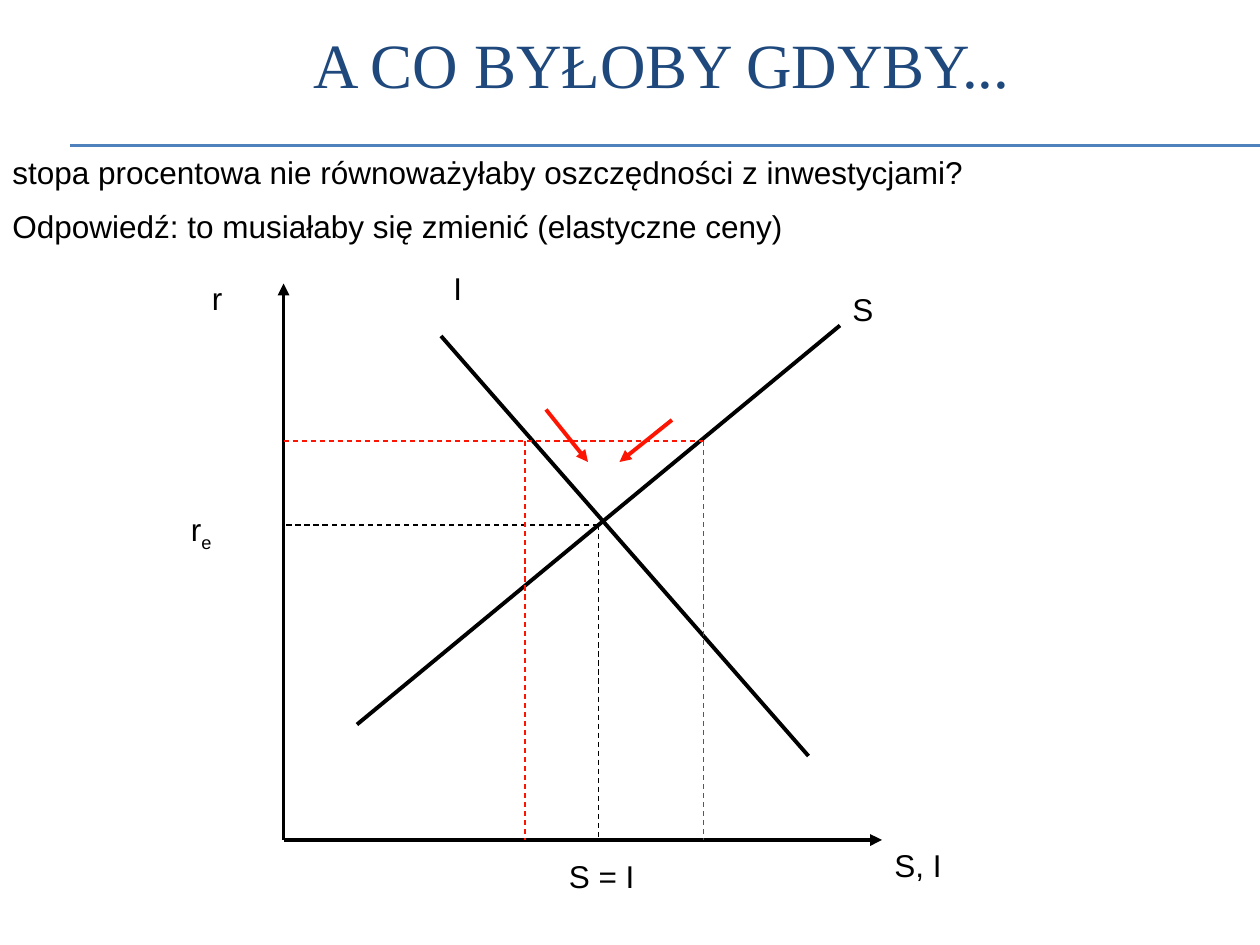
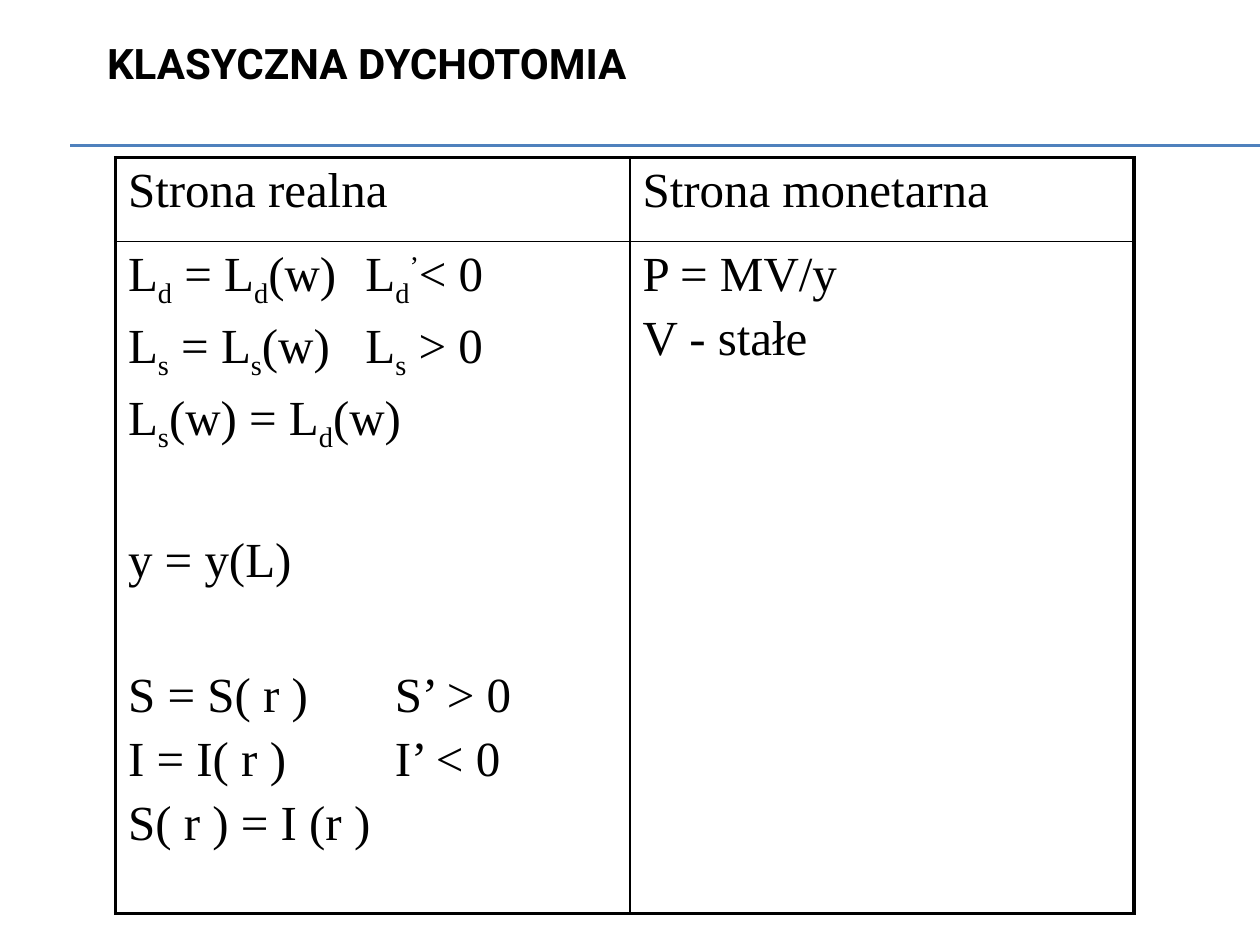
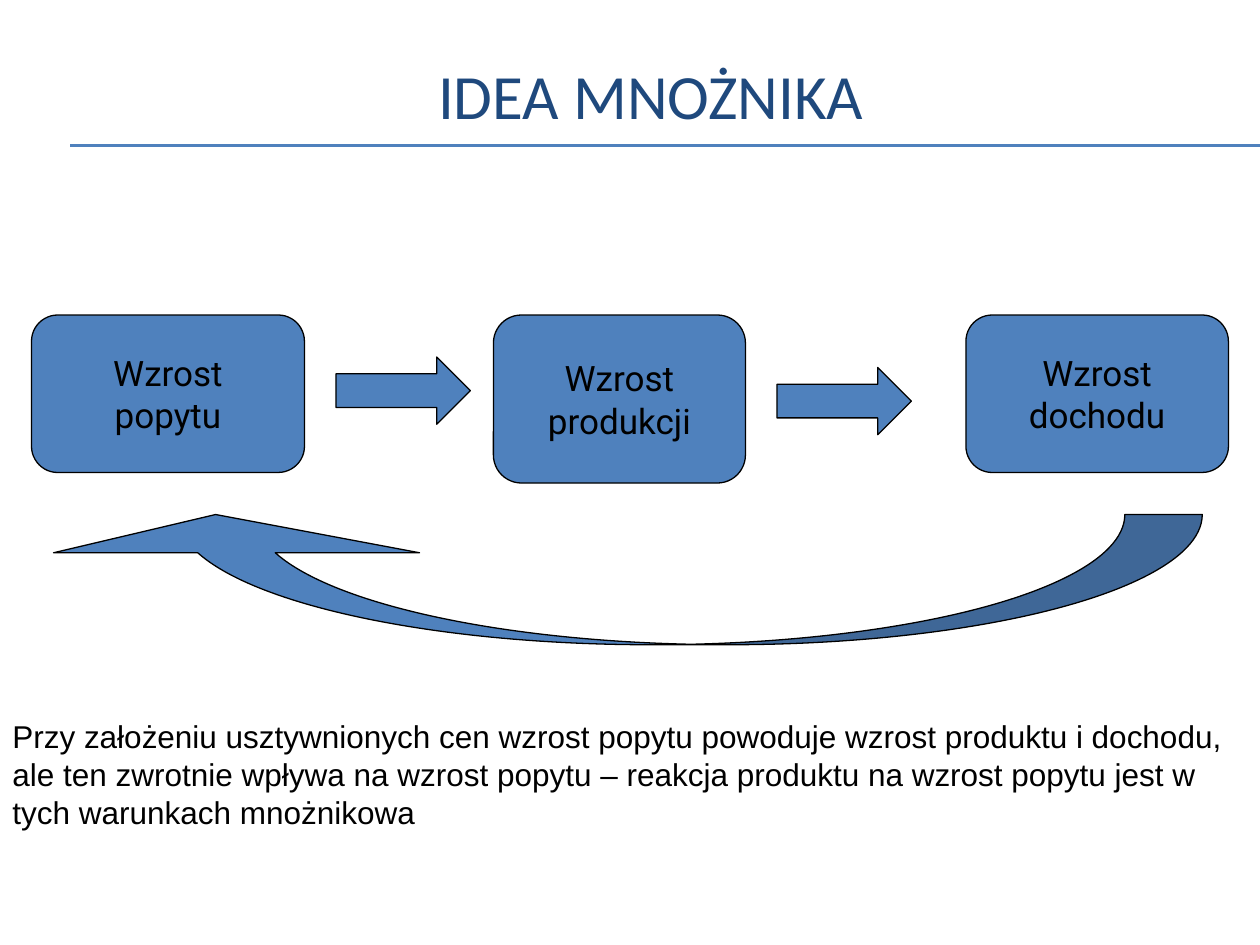
from lxml import etree
from pptx import Presentation
from pptx.dml.color import RGBColor
from pptx.enum.dml import MSO_LINE
from pptx.enum.shapes import MSO_CONNECTOR, MSO_SHAPE
from pptx.enum.text import MSO_ANCHOR, MSO_AUTO_SIZE, PP_ALIGN
from pptx.oxml.ns import qn
from pptx.util import Emu, Pt

PX = 7620  # EMU per px, 120 px to the inch
STRAIGHT = MSO_CONNECTOR.STRAIGHT
DASH = MSO_LINE.DASH
NODE = MSO_SHAPE.FLOWCHART_ALTERNATE_PROCESS
STEP_ARROW = MSO_SHAPE.RIGHT_ARROW
RETURN_ARROW = MSO_SHAPE.CURVED_LEFT_ARROW
MIDDLE = MSO_ANCHOR.MIDDLE
LEFT, CENTER = PP_ALIGN.LEFT, PP_ALIGN.CENTER
GROW = MSO_AUTO_SIZE.SHAPE_TO_FIT_TEXT

BLACK, NAVY, BLUE, RED = "000000", "1F497D", "4F81BD", "FD1503"
SANS, SERIF, HEAD, NODE_FONT = "Arial", "Times New Roman", "Calibri", "Roboto"
THIN, INNER, THICK = 0.75, 1, 2.25
BASELINES = {"_": "-25000", "^": "30000"}  # subscript, superscript

# Shared header rule
HEADER_RULES = [(67, 138, 1200, 138), (67, 139, 1200, 139)]

# Slide 1: savings and investment
QUESTION = ["stopa procentowa nie równoważyłaby oszczędności z inwestycjami?",
            "Odpowiedź: to musiałaby się zmienić (elastyczne ceny)"]
ORIGIN_X, ORIGIN_Y = 270, 800
EQ_X, EQ_Y = 570, 500
HIGH_RATE_Y, INVEST_X, SAVE_X = 420, 500, 670
AXES = [(ORIGIN_X, ORIGIN_Y, ORIGIN_X, 270), (ORIGIN_X, ORIGIN_Y, 840, ORIGIN_Y)]
CURVES = [(340, 690, 800, 310), (420, 320, 770, 720)]
EQ_GUIDES = [(EQ_X, EQ_Y, ORIGIN_X, EQ_Y), (EQ_X, EQ_Y, EQ_X, ORIGIN_Y)]
HIGH_RATE_GUIDES = [(ORIGIN_X, HIGH_RATE_Y, SAVE_X, HIGH_RATE_Y)] + [
    (x, HIGH_RATE_Y, x, ORIGIN_Y) for x in (INVEST_X, SAVE_X)]
PULLS = [(520, 390, 560, 440), (640, 400, 590, 440)]
LABELS = [("r", 190, 260, 60), ("S, I", 840, 800, 110), ("I", 420, 250, 60),
          ("S", 800, 270, 70), ("r|_e", 170, 480, 80), ("S = I", 530, 810, 120)]
LABEL_H = 48

# Slide 2: rows of cells; each line is (text, space before in pt, tab stop in px)
GAP, BLOCK_GAP = 5.6, 46
DICHOTOMY = [
    [[("Strona realna", 0, None)], [("Strona monetarna", 0, None)]],
    [[("L|_d| = L|_d|(w)\tL|_d|^’|< 0", 0, 226),
      ("L|_s| = L|_s|(w)\tL|_s| > 0", GAP, 226),
      ("L|_s|(w) = L|_d|(w)", GAP, None),
      ("y = y(L)", BLOCK_GAP, None),
      ("S = S( r )\tS’ > 0", BLOCK_GAP, 254),
      ("I = I( r )\tI’ < 0", GAP, 254),
      ("S( r ) = I (r )", GAP, None)],
     [("P = MV/y", 0, None), ("V - stałe", GAP, None)]],
]
COLUMN_W, ROW_H = [490, 480], [80, 640]

# Slide 3: the multiplier loop
NODES = [(["Wzrost", "popytu"], 30, 300, 260, 150),
         (["Wzrost", "produkcji"], 470, 300, 240, 160),
         (["Wzrost", "dochodu"], 920, 300, 250, 150)]
STEPS = [(320, 340, 128, 64), (740, 350, 128, 64)]
FEEDBACK = (526, -5, 124, 1114)
CONCLUSION = ("Przy założeniu usztywnionych cen wzrost popytu powoduje wzrost produktu "
              "i dochodu, ale ten zwrotnie wpływa na wzrost popytu – reakcja produktu "
              "na wzrost popytu jest w tych warunkach mnożnikowa")


def px(*values):
    return [Emu(v * PX) for v in values]


def rgb(color):
    return RGBColor.from_string(color)


def write(paragraph, marked, size, font, color=BLACK, bold=False):
    """Add runs split at "|"; a leading _ or ^ shifts the run's baseline."""
    for part in marked.split("|"):
        run = paragraph.add_run()
        run.text = part.lstrip("_^")
        run.font.size, run.font.name, run.font.bold = Pt(size), font, bold
        run.font.color.rgb = rgb(color)
        if part[0] in BASELINES:
            run._r.get_or_add_rPr().set("baseline", BASELINES[part[0]])


def paragraphs(frame, count):
    return [frame.paragraphs[0]] + [frame.add_paragraph() for _ in range(count - 1)]


def add_text(shapes, lines, box, gap=0):
    frame = shapes.add_textbox(*px(*box)).text_frame
    frame.word_wrap = True
    frame.auto_size = GROW
    for i, (paragraph, line) in enumerate(zip(paragraphs(frame, len(lines)), lines)):
        if i:
            paragraph.space_before = Pt(gap)
        write(paragraph, line, 18, SANS)


def add_lines(shapes, ends, color, width, dash=None, arrow=False):
    added = []
    for end in ends:
        connector = shapes.add_connector(STRAIGHT, *px(*end))
        connector.line.color.rgb = rgb(color)
        connector.line.width = Pt(width)
        if dash:
            connector.line.dash_style = dash
        properties = connector.element.spPr
        if arrow:
            etree.SubElement(properties.find(qn("a:ln")), qn("a:tailEnd"), type="triangle")
        etree.SubElement(properties, qn("a:effectLst"))
        added.append(connector)
    return added


def add_block(shapes, kind, box, adjustments=()):
    block = shapes.add_shape(kind, *px(*box))
    block.shadow.inherit = False
    block.fill.solid()
    block.fill.fore_color.rgb = rgb(BLUE)
    block.line.color.rgb = rgb(BLACK)
    block.line.width = Pt(THIN)
    for i, value in enumerate(adjustments):
        block.adjustments[i] = value
    return block


def add_slide(prs, heading, box, size, font, color, align=CENTER, bold=False):
    slide = prs.slides.add_slide(prs.slide_layouts[5])
    title = slide.shapes.title
    title.left, title.top, title.width, title.height = px(*box)
    title.text_frame.vertical_anchor = MIDDLE
    paragraph = title.text_frame.paragraphs[0]
    paragraph.alignment = align
    write(paragraph, heading, size, font, color, bold)
    return slide


def set_borders(cell, widths):
    properties = cell._tc.get_or_add_tcPr()
    for side, width in zip("LRTB", widths):
        border = etree.SubElement(properties, qn(f"a:ln{side}"), w=str(Pt(width)))
        fill = etree.SubElement(border, qn("a:solidFill"))
        etree.SubElement(fill, qn("a:srgbClr"), val=BLACK)


def set_tab(paragraph, stop):
    tabs = etree.SubElement(paragraph._p.get_or_add_pPr(), qn("a:tabLst"))
    etree.SubElement(tabs, qn("a:tab"), pos=str(stop * PX), algn="l")


def build_equilibrium(prs):
    slide = add_slide(prs, "A CO BYŁOBY GDYBY...", (120, 0, 1020, 120), 36, SERIF, NAVY)
    # The layout carries the header rule for every slide
    for rule in add_lines(slide.shapes, HEADER_RULES, BLUE, THIN):
        slide.slide_layout.shapes.element.append(rule.element)
    add_text(slide.shapes, QUESTION, (0, 140, 1160, 102), gap=9)
    diagram = slide.shapes.add_group_shape().shapes
    add_lines(diagram, AXES, BLACK, THICK, arrow=True)
    add_lines(diagram, CURVES, BLACK, THICK)
    add_lines(diagram, EQ_GUIDES, BLACK, THIN, DASH)
    for label, x, y, width in LABELS:
        add_text(diagram, [label], (x, y, width, LABEL_H))
    add_lines(slide.shapes, HIGH_RATE_GUIDES, RED, THIN, DASH)
    add_lines(slide.shapes, PULLS, RED, THICK, arrow=True)


def build_dichotomy(prs):
    slide = add_slide(prs, "KLASYCZNA DYCHOTOMIA", (90, 30, 1020, 60), 24, NODE_FONT,
                      BLACK, LEFT, True)
    rows, cols = len(ROW_H), len(COLUMN_W)
    table = slide.shapes.add_table(
        rows, cols, *px(110, 150, sum(COLUMN_W), sum(ROW_H))).table
    table.first_row = table.horz_banding = False
    for column, width in zip(table.columns, px(*COLUMN_W)):
        column.width = width
    for row, height in zip(table.rows, px(*ROW_H)):
        row.height = height
    for r, row in enumerate(DICHOTOMY):
        for c, lines in enumerate(row):
            cell = table.cell(r, c)
            outer = (c == 0, c == cols - 1, r == 0, r == rows - 1)
            set_borders(cell, [THICK if edge else INNER for edge in outer])
            cell.fill.background()
            for paragraph, (line, before, stop) in zip(
                    paragraphs(cell.text_frame, len(lines)), lines):
                if stop:
                    set_tab(paragraph, stop)
                if before:
                    paragraph.space_before = Pt(before)
                write(paragraph, line, 28, SERIF)


def build_multiplier(prs):
    slide = add_slide(prs, "IDEA MNOŻNIKA", (110, 30, 1020, 120), 36, HEAD, NAVY)
    for lines, *box in NODES:
        frame = add_block(slide.shapes, NODE, box).text_frame
        frame.word_wrap = False
        frame.vertical_anchor = MIDDLE
        for paragraph, line in zip(paragraphs(frame, len(lines)), lines):
            paragraph.alignment = CENTER
            write(paragraph, line, 20, NODE_FONT)
    for box in STEPS:
        add_block(slide.shapes, STEP_ARROW, box, (0.5, 0.5))
    feedback = add_block(slide.shapes, RETURN_ARROW, FEEDBACK, (0.595, 2.811, 0.294))
    feedback.rotation = 90
    add_text(slide.shapes, [CONCLUSION], (0, 677, 1200, 121))


def main():
    prs = Presentation()
    prs.slide_width, prs.slide_height = px(1200, 900)
    build_equilibrium(prs)
    build_dichotomy(prs)
    build_multiplier(prs)
    prs.save("out.pptx")


if __name__ == "__main__":
    main()
